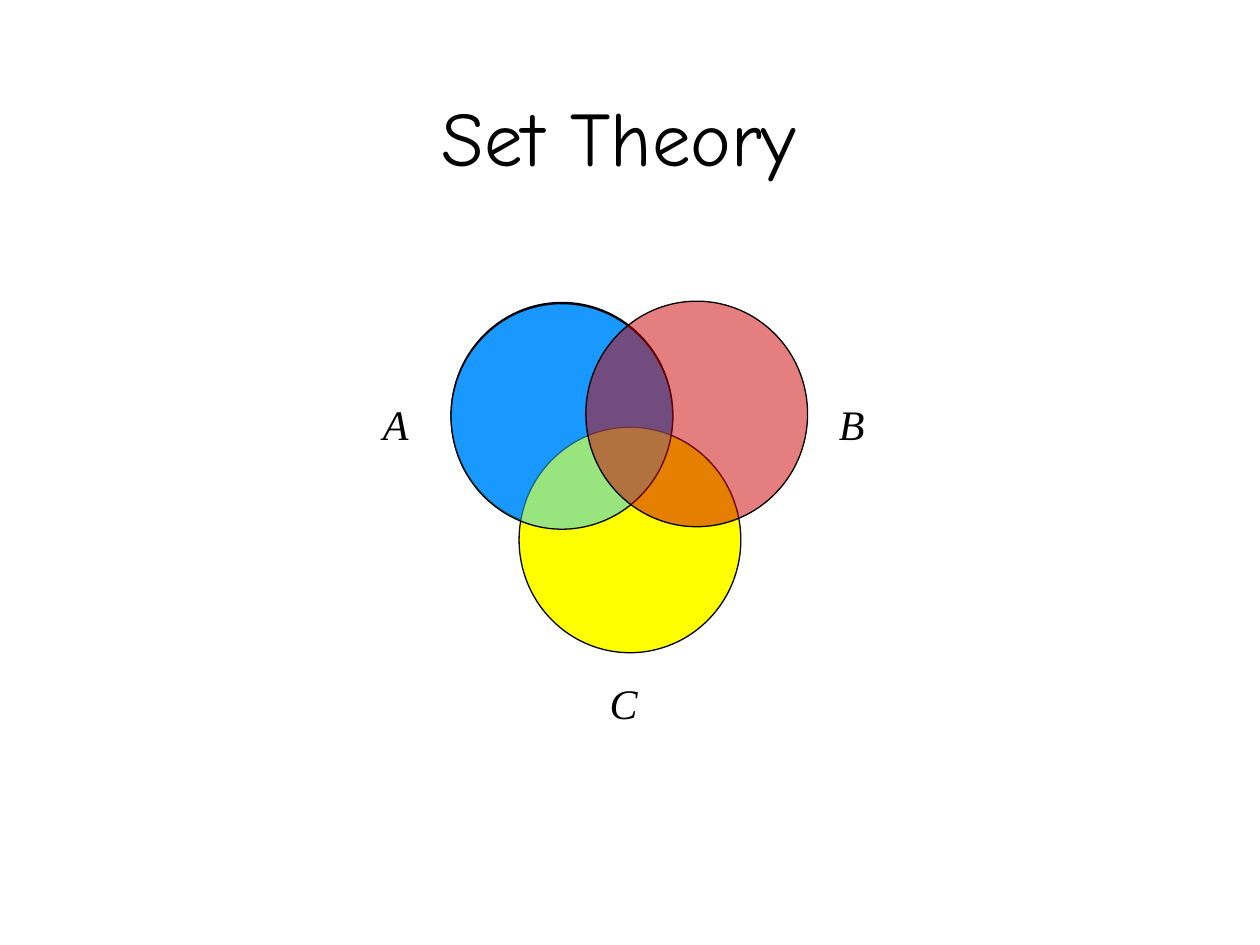
from dataclasses import dataclass

from lxml.etree import SubElement
from pptx import Presentation
from pptx.dml.color import RGBColor
from pptx.enum.shapes import MSO_SHAPE
from pptx.enum.text import MSO_ANCHOR, PP_ALIGN
from pptx.oxml.ns import qn
from pptx.slide import Slide
from pptx.util import Inches, Pt

BLACK = RGBColor(0x00, 0x00, 0x00)
BLUE = RGBColor(0x00, 0x66, 0xFF)
SKY = RGBColor(0x33, 0xCC, 0xFF)
YELLOW = RGBColor(0xFF, 0xFF, 0x00)
RED = RGBColor(0xCC, 0x00, 0x00)

CIRCLE_WIDTH = 1.76
CIRCLE_HEIGHT = 1.79


@dataclass
class Label:
    text: str
    left: float
    top: float
    width: float
    height: float = 0.5
    font: str = "Times New Roman"
    size: int = 24
    italic: bool = True
    wrap: bool = False
    align: PP_ALIGN = PP_ALIGN.LEFT
    anchor: MSO_ANCHOR = MSO_ANCHOR.TOP


@dataclass
class Circle:
    left: float
    top: float
    color: RGBColor
    opacity: int = 100


LABELS = [
    Label("Set Theory", 0.25, 0.58, 9.33, 1, "Comic Neue", 44, False, True,
          PP_ALIGN.CENTER, MSO_ANCHOR.MIDDLE),
    Label("A", 2.94, 3.11, 0.4),
    Label("B", 6.56, 3.11, 0.4),
    Label("C", 4.74, 5.33, 0.42),
]

CIRCLES = [
    Circle(3.58, 2.4, BLUE),
    Circle(4.12, 3.39, YELLOW),
    Circle(3.58, 2.41, SKY, 50),
    Circle(4.65, 2.39, RED, 50),
]


def add_label(page: Slide, label: Label) -> None:
    box = page.shapes.add_textbox(Inches(label.left), Inches(label.top),
                                  Inches(label.width), Inches(label.height))
    frame = box.text_frame
    frame.text = label.text
    frame.word_wrap = label.wrap
    frame.vertical_anchor = label.anchor
    para = frame.paragraphs[0]
    para.alignment = label.align
    font = para.runs[0].font
    font.name = label.font
    font.size = Pt(label.size)
    font.italic = label.italic
    font.color.rgb = BLACK


def add_circle(page: Slide, circle: Circle) -> None:
    shape = page.shapes.add_shape(MSO_SHAPE.OVAL, Inches(circle.left), Inches(circle.top),
                                  Inches(CIRCLE_WIDTH), Inches(CIRCLE_HEIGHT))
    shape.shadow.inherit = False
    shape.fill.solid()
    shape.fill.fore_color.rgb = circle.color
    shape.line.color.rgb = BLACK
    shape.line.width = Pt(0.75)
    if circle.opacity < 100:
        color = shape.fill._xPr.find(qn("a:solidFill")).find(qn("a:srgbClr"))
        SubElement(color, qn("a:alpha")).set("val", str(circle.opacity * 1000))


deck = Presentation()
deck.slide_width = Inches(10)
deck.slide_height = Inches(7.5)
page = deck.slides.add_slide(deck.slide_layouts[6])
for label in LABELS:
    add_label(page, label)
for circle in CIRCLES:
    add_circle(page, circle)
deck.save("out.pptx")
